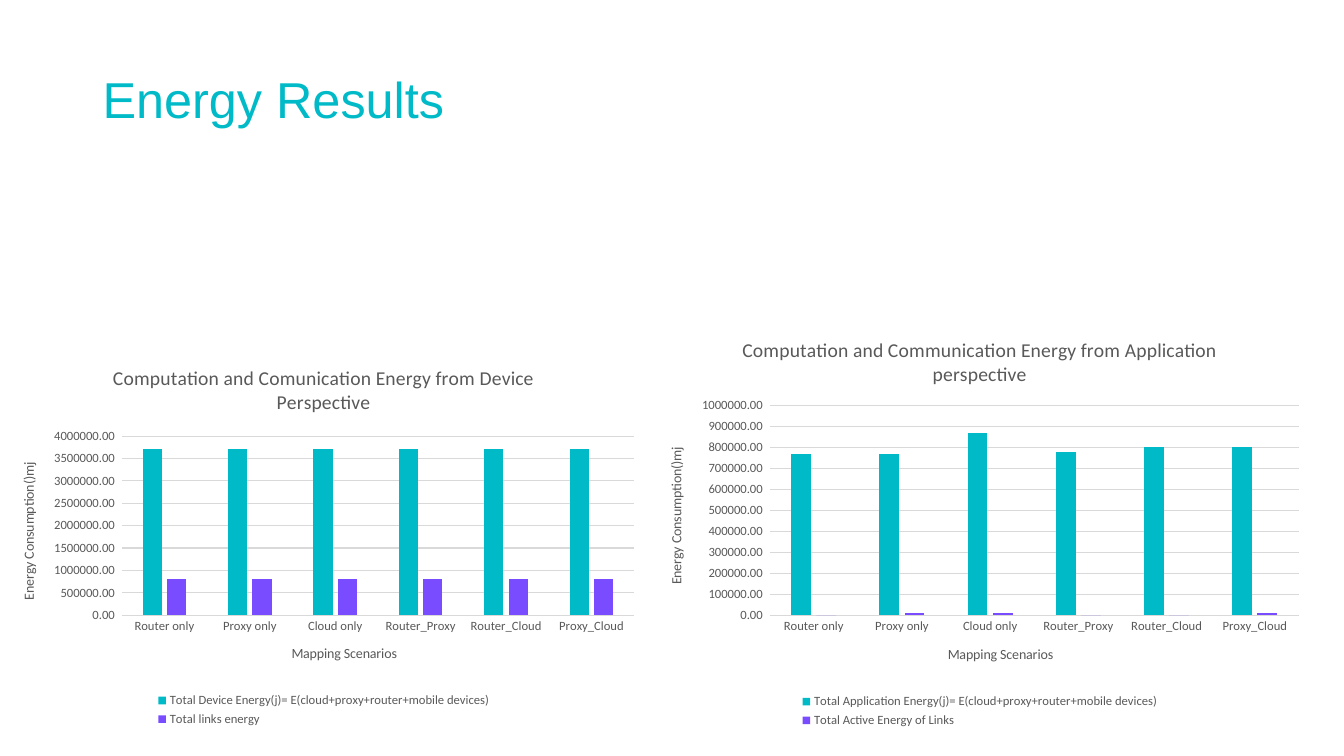
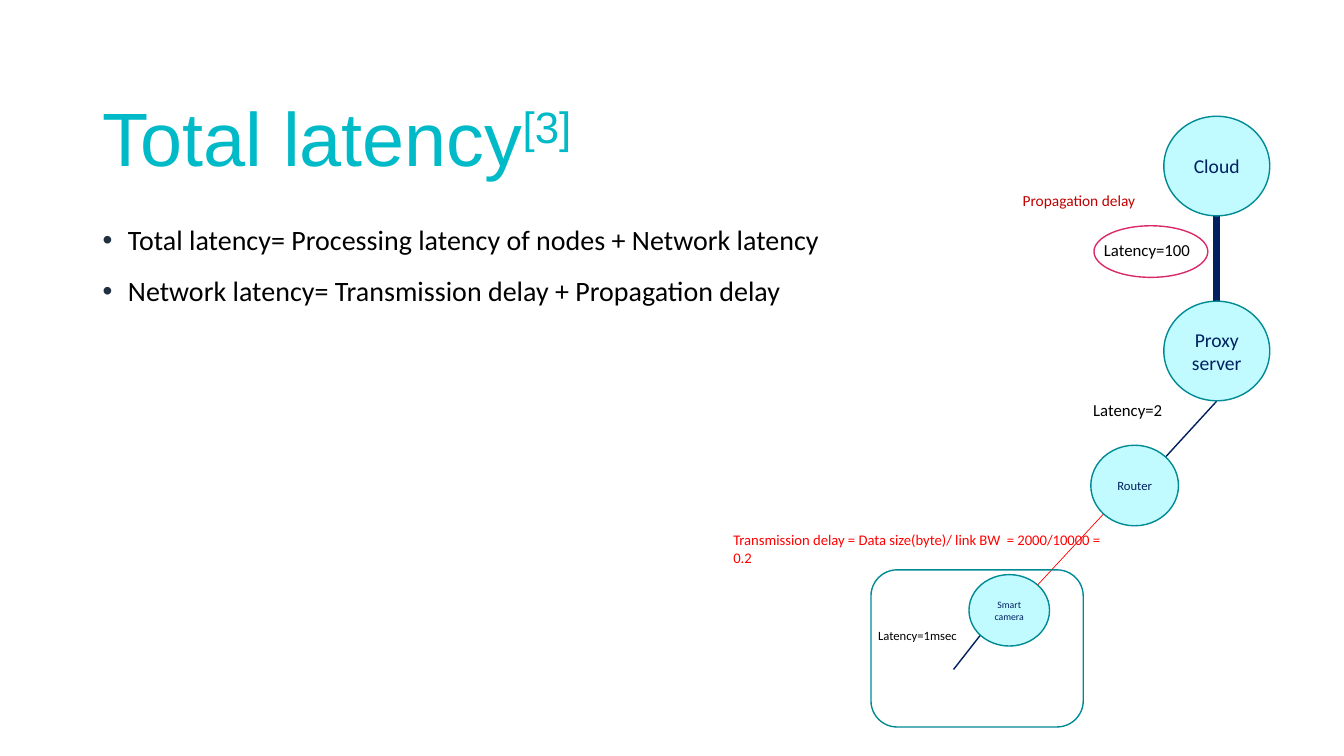
from lxml.etree import SubElement
from pptx import Presentation
from pptx.chart.data import CategoryChartData
from pptx.dml.color import RGBColor
from pptx.enum.chart import XL_CHART_TYPE, XL_LEGEND_POSITION, XL_TICK_MARK
from pptx.enum.shapes import MSO_CONNECTOR, MSO_SHAPE
from pptx.enum.text import MSO_ANCHOR, MSO_AUTO_SIZE, PP_ALIGN
from pptx.oxml import parse_xml
from pptx.oxml.ns import nsdecls, qn
from pptx.util import Cm, Pt

# Shared colours
TEAL = "00BAC8"
PURPLE = "794DFF"
GREY = "595959"
GRID = "D9D9D9"
NAVY = "002060"
BLACK = "000000"
RED = "FF0000"
DARK_RED = "C00000"
PINK = "DA2A69"
NODE_FILL = "C1FBFF"
NODE_LINE = "008A94"
BULLET = "203040"


def paint(fill, color):
    fill.solid()
    fill.fore_color.rgb = RGBColor.from_string(color)


def write(paragraph, text, size, color, font="Calibri", align=None, baseline=None):
    run = paragraph.add_run()
    run.text = text
    run.font.size = Pt(size)
    run.font.name = font
    run.font.bold = False
    paint(run.font.fill, color)
    if align is not None:
        paragraph.alignment = align
    if baseline:
        run._r.get_or_add_rPr().set("baseline", str(baseline * 1000))


presentation = Presentation()
presentation.slide_width, presentation.slide_height = Cm(33.87), Cm(19.05)

# Slides and titles: layout, title height, font size, (text, baseline) parts
title_rows = [
    (5, 2.36, 36, [("Energy Results", None)]),
    (1, 3.68, 54, [("Total latency", None), ("[3]", 30)]),
]
for layout, height, size, parts in title_rows:
    slide = presentation.slides.add_slide(presentation.slide_layouts[layout])
    title = slide.shapes.title
    title.left, title.top, title.width, title.height = Cm(2.33), Cm(1.02), Cm(29.21), Cm(height)
    title.text_frame.auto_size = MSO_AUTO_SIZE.NONE
    title.text_frame.vertical_anchor = MSO_ANCHOR.BOTTOM
    for text, baseline in parts:
        write(title.text_frame.paragraphs[0], text, size, TEAL, font="Arial",
              align=PP_ALIGN.LEFT, baseline=baseline)
energy_slide, latency_slide = presentation.slides

# Energy charts, plot areas in percent of the chart
categories = ["Router only", "Proxy only", "Cloud only",
              "Router_Proxy", "Router_Cloud", "Proxy_Cloud"]
energy_charts = [
    {
        "title": "Computation and Comunication Energy from Device Perspective",
        "box": (0, 8.76, 16.31, 9.65),
        "plot": {"x": 18.8, "y": 23.1, "w": 79.2, "h": 46.8},
        "maximum": 4000000, "step": 500000,
        "series": [
            ("Total Device Energy(j)= E(cloud+proxy+router+mobile devices)", [3700000] * 6),
            ("Total links energy", [800000] * 6),
        ],
    },
    {
        "title": "Computation and Communication Energy from Application perspective",
        "box": (16.31, 8.03, 16.76, 10.41),
        "plot": {"x": 18.4, "y": 21, "w": 79.6, "h": 50.8},
        "maximum": 1000000, "step": 100000,
        "series": [
            ("Total Application Energy(j)= E(cloud+proxy+router+mobile devices)",
             [770000, 770000, 870000, 780000, 800000, 800000]),
            ("Total Active Energy of Links", [0, 10000, 10000, 0, 0, 10000]),
        ],
    },
]
for settings in energy_charts:
    data = CategoryChartData()
    data.categories = categories
    for name, values in settings["series"]:
        data.add_series(name, values)
    chart = energy_slide.shapes.add_chart(
        XL_CHART_TYPE.COLUMN_CLUSTERED, *map(Cm, settings["box"]), data).chart
    chart.font.name = "Calibri"
    chart.font.size = Pt(9)
    paint(chart.font.fill, GREY)
    chart.has_title = True
    write(chart.chart_title.text_frame.paragraphs[0], settings["title"], 14, GREY)
    chart.has_legend = True
    chart.legend.position = XL_LEGEND_POSITION.BOTTOM
    chart.legend.include_in_layout = False

    # Columns
    plot = chart.plots[0]
    plot.gap_width, plot.overlap = 219, -27
    plot.vary_by_categories = False
    for series, color in zip(plot.series, (TEAL, PURPLE)):
        paint(series.format.fill, color)

    # Axes
    axis_titles = ((chart.category_axis, "Mapping Scenarios"),
                   (chart.value_axis, "Energy Consumption()mj"))
    for axis, text in axis_titles:
        axis.major_tick_mark = axis.minor_tick_mark = XL_TICK_MARK.NONE
        write(axis.axis_title.text_frame.paragraphs[0], text, 10, GREY)
    value_axis = chart.value_axis
    value_axis.minimum_scale, value_axis.maximum_scale = 0, settings["maximum"]
    value_axis.major_unit = settings["step"]
    value_axis.tick_labels.number_format = "0.00_ ;\\-0.00\\ "
    value_axis.tick_labels.number_format_is_linked = False
    value_axis.format.line.fill.background()
    for line in (chart.category_axis.format.line, value_axis.major_gridlines.format.line):
        paint(line.fill, GRID)
        line.width = Pt(0.75)

    # Fixed inner plot area
    plot_area = chart._chartSpace.chart.plotArea
    for old_layout in plot_area.findall(qn("c:layout")):
        plot_area.remove(old_layout)
    sides = "".join(f'<c:{side} val="{percent / 100:.3f}"/>'
                    for side, percent in settings["plot"].items())
    plot_area.insert(0, parse_xml(
        f'<c:layout {nsdecls("c")}><c:manualLayout><c:layoutTarget val="inner"/>'
        f'<c:xMode val="edge"/><c:yMode val="edge"/>{sides}</c:manualLayout></c:layout>'))

# Latency formulas
body = latency_slide.placeholders[1]
body.left, body.top, body.width, body.height = Cm(2.33), Cm(5.4), Cm(26.29), Cm(4.55)
body.text_frame.auto_size = MSO_AUTO_SIZE.NONE
formulas = ["Total latency= Processing latency of nodes + Network latency",
            "Network latency= Transmission delay + Propagation delay"]
for index, formula in enumerate(formulas):
    paragraph = body.text_frame.add_paragraph() if index else body.text_frame.paragraphs[0]
    write(paragraph, formula, 20, BLACK)
    paragraph.line_spacing = 1.1
    paragraph.space_before = Pt(10)
    properties = paragraph._p.get_or_add_pPr()
    properties.set("marL", str(Cm(0.64)))
    properties.set("indent", str(-Cm(0.64)))
    bullet_color = SubElement(properties, qn("a:buClr"))
    SubElement(bullet_color, qn("a:srgbClr"), val=BULLET)
    SubElement(properties, qn("a:buFont"), typeface="Arial")
    SubElement(properties, qn("a:buChar"), char="•")

# Network links: start, end, colour, width
links = [
    (30.66, 5.44, 30.66, 7.59, NAVY, 4.5),
    (30.66, 10.11, 29.36, 11.53, NAVY, 1),
    (24.03, 16.87, 24.71, 16, NAVY, 1),
    (27.81, 12.95, 26.14, 14.75, RED, 0.5),
]
for *ends, color, width in links:
    link = latency_slide.shapes.add_connector(MSO_CONNECTOR.STRAIGHT, *map(Cm, ends))
    paint(link.line.fill, color)
    link.line.width = Pt(width)
    SubElement(link._element.spPr, qn("a:effectLst"))

# Network nodes and outlines: preset, box, fill, line, text, size
network_shapes = [
    (MSO_SHAPE.OVAL, (27.49, 11.22, 2.21, 2.03), NODE_FILL, NODE_LINE, "Router", 9),
    (MSO_SHAPE.OVAL, (29.33, 7.59, 2.67, 2.51), NODE_FILL, NODE_LINE, "Proxy server", 14),
    (MSO_SHAPE.OVAL, (29.33, 2.93, 2.67, 2.51), NODE_FILL, NODE_LINE, "Cloud", 14),
    (MSO_SHAPE.OVAL, (24.42, 14.48, 2.03, 1.8), NODE_FILL, NODE_LINE, "Smart camera", 7),
    (MSO_SHAPE.ROUNDED_RECTANGLE, (21.95, 14.36, 5.35, 3.96), None, NODE_LINE, None, None),
    (MSO_SHAPE.OVAL, (27.57, 5.69, 2.87, 1.3), None, PINK, None, None),
]
for preset, box, fill, line, text, size in network_shapes:
    shape = latency_slide.shapes.add_shape(preset, *map(Cm, box))
    shape.shadow.inherit = False
    paint(shape.line.fill, line)
    shape.line.width = Pt(1)
    if fill:
        paint(shape.fill, fill)
    else:
        shape.fill.background()
    if text:
        shape.text_frame.word_wrap = True
        shape.text_frame.vertical_anchor = MSO_ANCHOR.MIDDLE
        write(shape.text_frame.paragraphs[0], text, size, NAVY, align=PP_ALIGN.CENTER)

# Delay labels: box, text, size, colour
labels = [
    ((27.57, 5.92, 3.12, 0.71), "Latency=100", 12, BLACK),
    ((27.3, 9.96, 3.12, 0.71), "Latency=2", 12, BLACK),
    ((18.23, 13.25, 9.93, 1.14),
     "Transmission delay = Data size(byte)/ link BW  = 2000/10000 = 0.2", 10.5, RED),
    ((21.88, 15.7, 2.97, 0.64), "Latency=1msec", 9, BLACK),
    ((25.52, 4.7, 4.45, 0.74), "Propagation delay", 11, DARK_RED),
]
for box, text, size, color in labels:
    label = latency_slide.shapes.add_textbox(*map(Cm, box))
    label.text_frame.word_wrap = True
    write(label.text_frame.paragraphs[0], text, size, color)

presentation.save("out.pptx")
